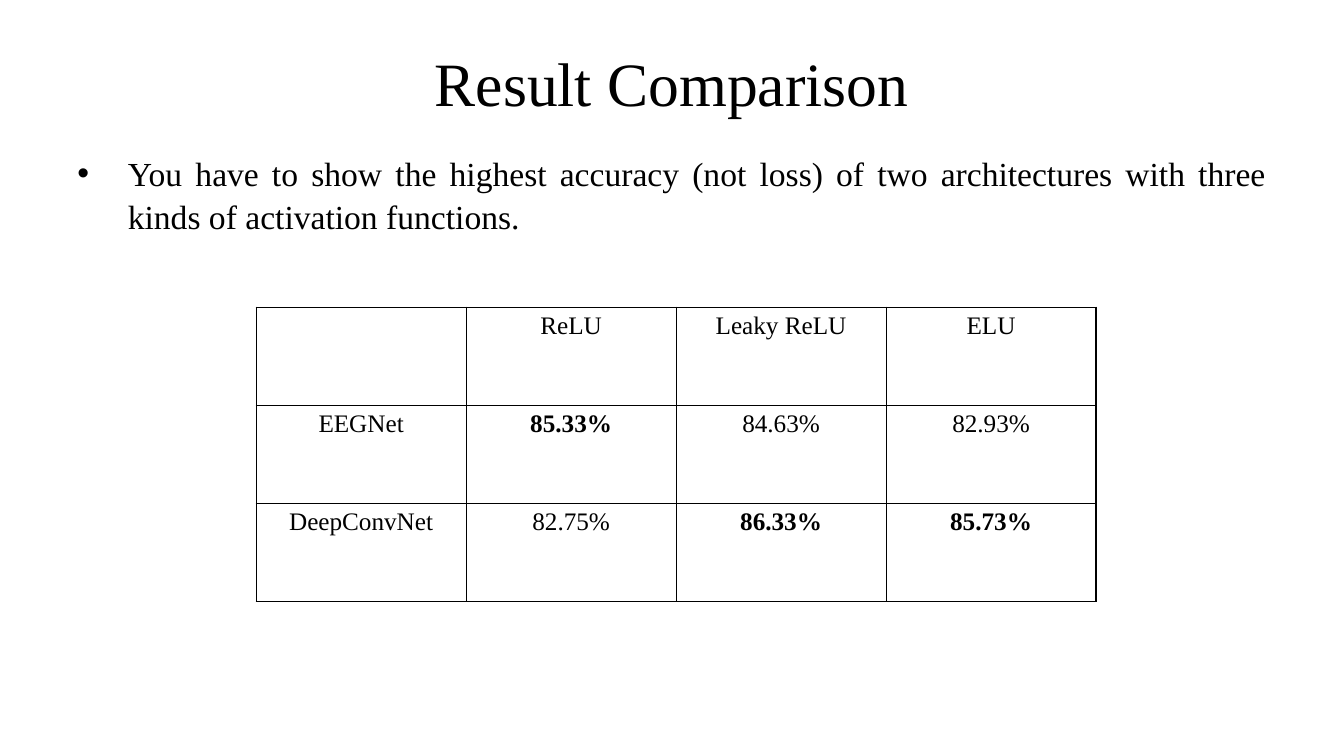
import pptx
import pptx.dml.color
import pptx.enum.text
import pptx.oxml.ns
import pptx.util
from lxml import etree

Pt = pptx.util.Pt
ALIGN = pptx.enum.text.PP_ALIGN
ANCHOR = pptx.enum.text.MSO_ANCHOR
BLACK = pptx.dml.color.RGBColor(0, 0, 0)
FONT = "Times New Roman"

ACCURACY = [
    ["", "ReLU", "Leaky ReLU", "ELU"],
    ["EEGNet", "85.33%", "84.63%", "82.93%"],
    ["DeepConvNet", "82.75%", "86.33%", "85.73%"],
]


def add_xml(parent, tag, **attrs):
    return etree.SubElement(parent, pptx.oxml.ns.qn(tag), attrs)


def format_paragraph(p, size, align, bold=False):
    p.alignment = align
    p.font.size = Pt(size)
    for r in p.runs:
        r.font.name = FONT
        r.font.size = Pt(size)
        r.font.bold = bold
        r.font.color.rgb = BLACK


def add_text(s, text, box, size, align, anchor=ANCHOR.TOP):
    sp = s.shapes.add_textbox(*map(Pt, box))
    tf = sp.text_frame
    tf.word_wrap = True
    tf.vertical_anchor = anchor
    tf.text = text
    p = tf.paragraphs[0]
    format_paragraph(p, size, align)
    return p


def add_bullet(p, indent):
    p.line_spacing = 1.07
    pPr = p._p.get_or_add_pPr()
    pPr.set("marL", str(Pt(indent)))
    pPr.set("indent", str(-Pt(indent)))
    add_xml(add_xml(pPr, "a:buClr"), "a:srgbClr", val=str(BLACK))
    add_xml(pPr, "a:buFont", typeface="Arial")
    add_xml(pPr, "a:buChar", char="•")


def add_borders(cell, width):
    tcPr = cell._tc.get_or_add_tcPr()
    for side in ("a:lnL", "a:lnR", "a:lnT", "a:lnB"):
        ln = add_xml(tcPr, side, w=str(Pt(width)))
        add_xml(add_xml(ln, "a:solidFill"), "a:srgbClr", val=str(BLACK))


def add_accuracy_table(s, rows, left, top, col_width, row_height):
    n_rows, n_cols = len(rows), len(rows[0])
    table = s.shapes.add_table(
        n_rows, n_cols, Pt(left), Pt(top),
        Pt(col_width * n_cols), Pt(row_height * n_rows)).table
    table.first_row = False
    table.horz_banding = False
    for col in table.columns:
        col.width = Pt(col_width)
    # The best accuracy of each activation function is bold
    best = [max(row[i] for row in rows[1:]) for i in range(n_cols)]
    for i, row in enumerate(rows):
        table.rows[i].height = Pt(row_height)
        for j, text in enumerate(row):
            cell = table.cell(i, j)
            cell.text = text
            bold = j > 0 and text == best[j]
            format_paragraph(cell.text_frame.paragraphs[0], 18, ALIGN.CENTER, bold)
            add_borders(cell, 0.96)
            cell.fill.background()


def main():
    prs = pptx.Presentation()
    prs.slide_width, prs.slide_height = Pt(960), Pt(540)
    s = prs.slides.add_slide(prs.slide_layouts[6])

    # Title
    add_text(s, "Result Comparison", (0, 0.7, 960, 116), 44, ALIGN.CENTER, ANCHOR.MIDDLE)

    # Requirement
    p = add_text(
        s,
        "You have to show the highest accuracy (not loss) of two architectures "
        "with three kinds of activation functions.",
        (48.2, 103.7, 863.3, 97.2), 24, ALIGN.JUSTIFY)
    add_bullet(p, 36)

    # Accuracy of each network by activation function
    add_accuracy_table(s, ACCURACY, left=183, top=219.4, col_width=150, row_height=70)

    prs.save("out.pptx")


if __name__ == "__main__":
    main()
